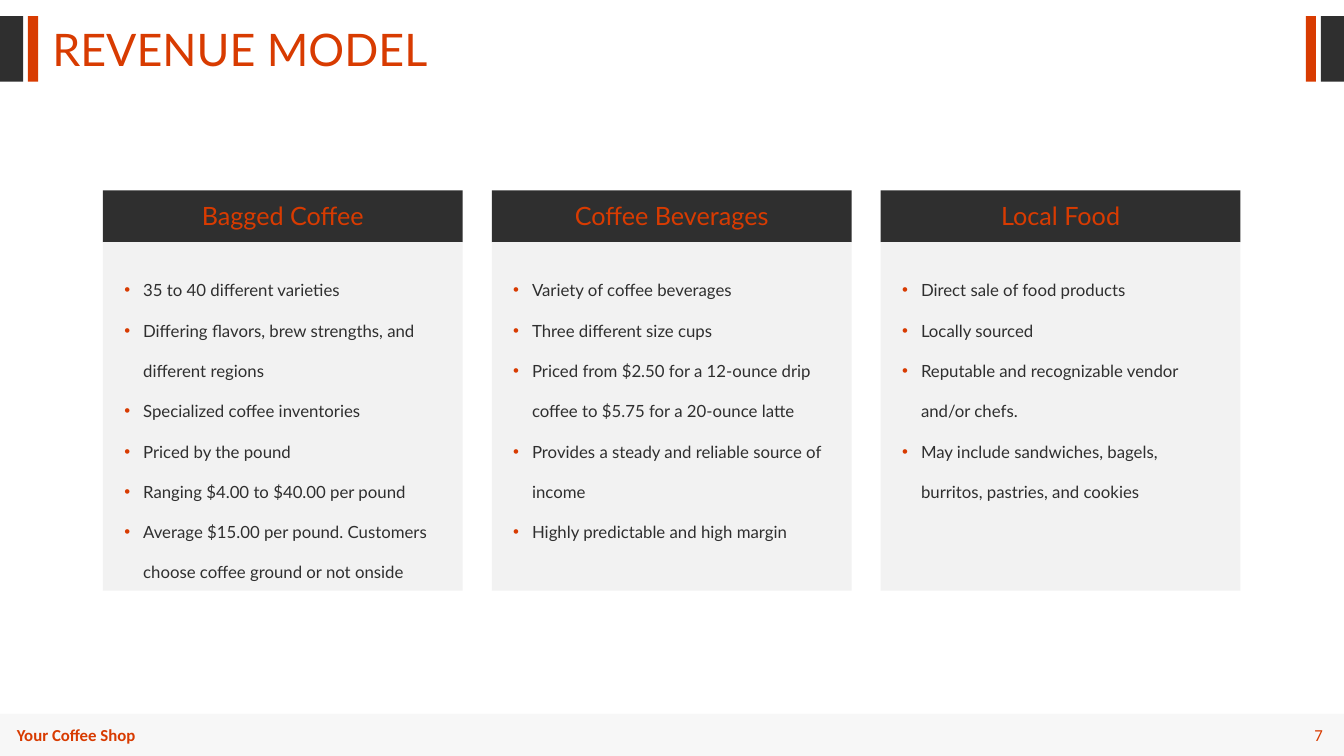
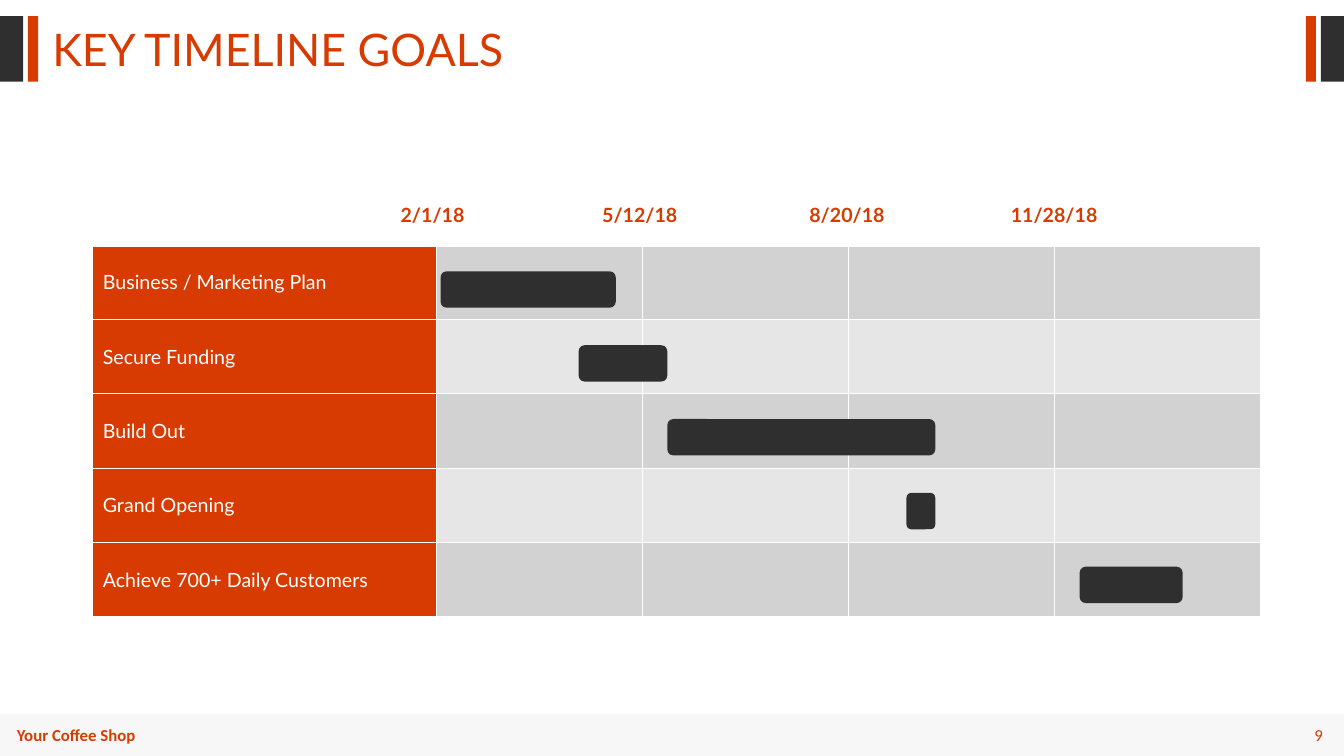
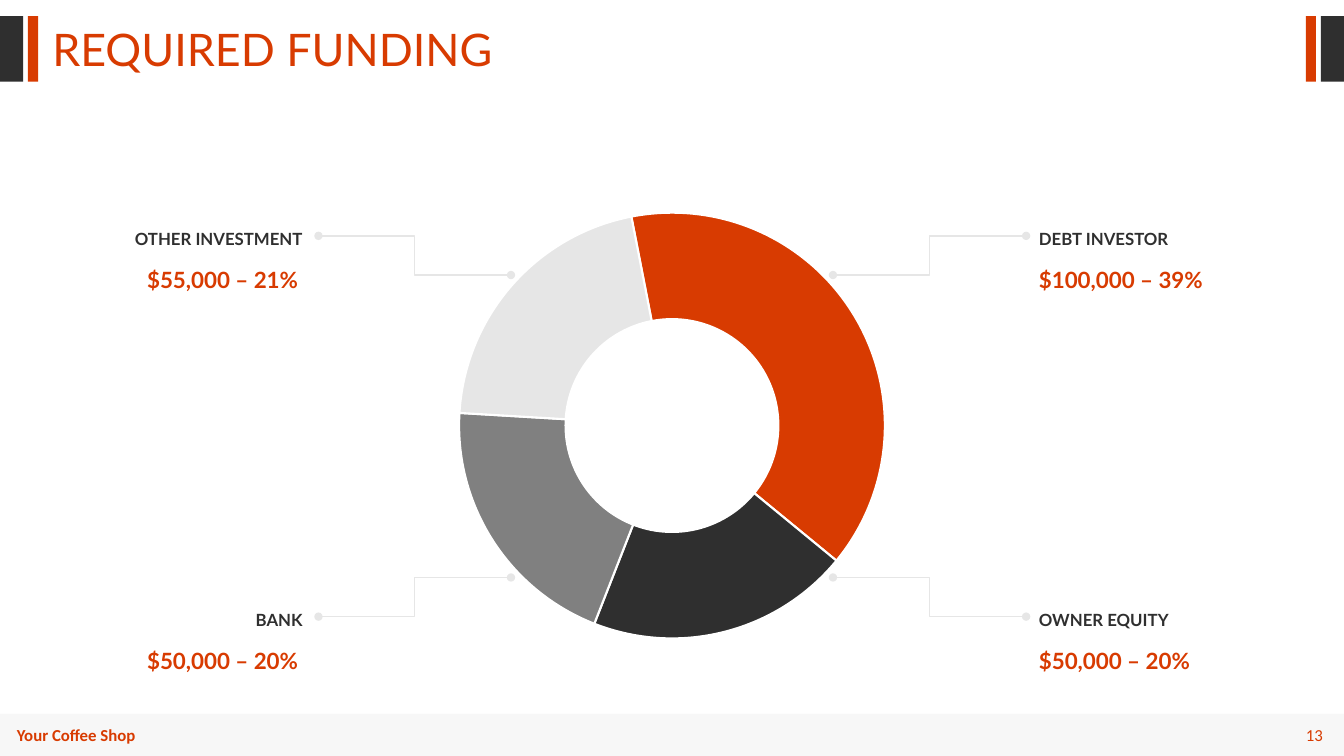
"""Builds three coffee shop pitch slides: revenue model, timeline goals and required funding."""
from lxml import etree
from pptx import Presentation
from pptx.chart.data import CategoryChartData
from pptx.dml.color import RGBColor
from pptx.enum.chart import XL_CHART_TYPE
from pptx.enum.shapes import MSO_CONNECTOR, MSO_SHAPE
from pptx.enum.text import MSO_ANCHOR, PP_ALIGN
from pptx.oxml.ns import qn
from pptx.util import Pt

RECT, ROUNDED = MSO_SHAPE.RECTANGLE, MSO_SHAPE.ROUNDED_RECTANGLE
ELBOW, DOUGHNUT = MSO_CONNECTOR.ELBOW, XL_CHART_TYPE.DOUGHNUT
LEFT, CENTER, RIGHT = PP_ALIGN.LEFT, PP_ALIGN.CENTER, PP_ALIGN.RIGHT
TOP, MIDDLE = MSO_ANCHOR.TOP, MSO_ANCHOR.MIDDLE

COLORS = {
    "accent": "D83B01", "dark": "2F2F2F", "gray": "808080", "light": "E6E6E6",
    "band": "D2D2D2", "panel": "F2F2F2", "white": "FFFFFF", "black": "000000",
}
HEADING_FONT, FOOTER_FONT = "Lato", "Calibri"
WIDTH, HEIGHT = 960, 540
FOOTER = "Your Coffee Shop"

REVENUE = [
    ("Bagged Coffee", [
        "35 to 40 different varieties",
        "Differing flavors, brew strengths, and different regions",
        "Specialized coffee inventories",
        "Priced by the pound",
        "Ranging $4.00 to $40.00 per pound",
        "Average $15.00 per pound. Customers choose coffee ground or not onside",
    ]),
    ("Coffee Beverages", [
        "Variety of coffee beverages",
        "Three different size cups",
        "Priced from $2.50 for a 12-ounce drip coffee to $5.75 for a 20-ounce latte",
        "Provides a steady and reliable source of income",
        "Highly predictable and high margin",
    ]),
    ("Local Food", [
        "Direct sale of food products",
        "Locally sourced",
        "Reputable and recognizable vendor and/or chefs.",
        "May include sandwiches, bagels, burritos, pastries, and cookies",
    ]),
]

DATES = ["2/1/18", "5/12/18", "8/20/18", "11/28/18"]
DAYS_PER_COLUMN = 100
GOALS = [
    ("Business / Marketing Plan", 2, 85),
    ("Secure Funding", 69, 43),
    ("Build Out", 112, 130),
    ("Grand Opening", 228, 14),
    ("Achieve 700+ Daily Customers", 312, 50),
]

FUNDING = [
    ("DEBT INVESTOR", "$100,000 – 39%", 39, "accent", "right", "top"),
    ("OWNER EQUITY", "$50,000 – 20%", 20, "dark", "right", "bottom"),
    ("BANK", "$50,000 – 20%", 20, "gray", "left", "bottom"),
    ("OTHER INVESTMENT", "$55,000 – 21%", 21, "light", "left", "top"),
]
CALLOUT_X = {"left": (365, 227.5), "right": (595, 733)}
CALLOUT_Y = {"top": (196.5, 168.5, 157), "bottom": (412.5, 440.5, 429)}


def rgb(color):
    return RGBColor.from_string(COLORS[color])


def points(*lengths):
    return [Pt(length) for length in lengths]


def add_block(slide, box, color, kind=RECT):
    block = slide.shapes.add_shape(kind, *points(*box))
    block.shadow.inherit = False
    block.fill.solid()
    block.fill.fore_color.rgb = rgb(color)
    block.line.fill.background()
    return block


def add_bullet(paragraph):
    properties = paragraph._p.get_or_add_pPr()
    properties.set("marL", str(Pt(13.5)))
    properties.set("indent", str(-Pt(13.5)))
    bullet_color = etree.SubElement(properties, qn("a:buClr"))
    etree.SubElement(bullet_color, qn("a:srgbClr"), val=COLORS["accent"])
    etree.SubElement(properties, qn("a:buFont"), typeface="Arial")
    etree.SubElement(properties, qn("a:buChar"), char="•")


def add_text(slide, box, lines, size, color="accent", bold=False, align=LEFT,
             spacing=1.0, font=HEADING_FONT, anchor=TOP, bullets=False):
    frame = slide.shapes.add_textbox(*points(*box)).text_frame
    frame.word_wrap = True
    frame.vertical_anchor = anchor
    frame.text = "\n".join(lines)
    for paragraph in frame.paragraphs:
        if bullets:
            add_bullet(paragraph)
        paragraph.alignment = align
        paragraph.line_spacing = spacing
        style = paragraph.runs[0].font
        style.name, style.size, style.bold = font, Pt(size), bold
        style.color.rgb = rgb(color)


def add_base(deck, title, number):
    slide = deck.slides.add_slide(deck.slide_layouts[6])
    for offset, width, color in [(0, 16.5, "dark"), (20, 7.2, "accent")]:
        for left in (offset, WIDTH - offset - width):
            add_block(slide, (left, 11.5, width, 46.8), color)
    strip = add_block(slide, (0, 510, WIDTH, 30), "light")
    tint = strip.fill._xPr.find(".//" + qn("a:srgbClr"))
    etree.SubElement(tint, qn("a:alpha"), val="30000")
    add_text(slide, (889, 514, 63, 22), [str(number)], 12, align=RIGHT,
             font=FOOTER_FONT, anchor=MIDDLE)
    add_text(slide, (5, 514, 132, 22), [FOOTER], 12, bold=True, font=FOOTER_FONT)
    add_text(slide, (30.25, 19.5, 480, 39), [title], 32, spacing=0.8)
    return slide


def add_revenue(deck):
    slide = add_base(deck, "REVENUE MODEL", 7)
    card_width, pitch, inset = 257, 277.8, 8.2
    for index, (heading, details) in enumerate(REVENUE):
        left = 73.5 + index * pitch
        text_left, text_width = left + inset, card_width - 2 * inset
        add_block(slide, (left, 136, card_width, 37), "dark")
        add_block(slide, (left, 173, card_width, 249), "panel")
        add_text(slide, (text_left, 139.5, text_width, 29), [heading], 18, align=CENTER)
        add_text(slide, (text_left, 182, text_width, 240), details, 12, "dark",
                 spacing=2.0, bullets=True)


def add_borders(cell, bottom):
    properties = cell._tc.get_or_add_tcPr()
    for index, (side, width) in enumerate([("L", 1), ("R", 1), ("T", 1), ("B", bottom)]):
        border = etree.Element(qn("a:ln" + side), w=str(Pt(width)))
        fill = etree.SubElement(border, qn("a:solidFill"))
        etree.SubElement(fill, qn("a:srgbClr"), val=COLORS["white"])
        properties.insert(index, border)


def add_timeline(deck):
    slide = add_base(deck, "KEY TIMELINE GOALS", 9)
    left, top, label_width, column_width, row_height = 66.25, 122, 245.5, 147.25, 53.1
    rows, columns = len(GOALS) + 1, len(DATES) + 1
    schedule = slide.shapes.add_table(rows, columns, *points(
        left, top, label_width + len(DATES) * column_width, rows * row_height)).table
    for index, column in enumerate(schedule.columns):
        column.width = Pt(column_width if index else label_width)
    for row_index, row in enumerate(schedule.rows):
        row.height = Pt(row_height)
        for column_index, cell in enumerate(row.cells):
            if row_index == 0:
                color = "white"
            elif column_index == 0:
                color = "accent"
            else:
                color = "band" if row_index % 2 else "light"
            cell.fill.solid()
            cell.fill.fore_color.rgb = rgb(color)
            add_borders(cell, 1 if row_index else 3)
    for index, (goal, start, days) in enumerate(GOALS):
        cell = schedule.cell(index + 1, 0)
        cell.text = goal
        cell.vertical_anchor = MIDDLE
        style = cell.text_frame.paragraphs[0].runs[0].font
        style.name, style.size, style.bold = HEADING_FONT, Pt(14), False
        style.color.rgb = rgb("white")
    for index, date in enumerate(DATES):
        add_text(slide, (264 + index * 148, 141.5, 90, 24), [date], 14, bold=True, align=CENTER)
    day_width = column_width / DAYS_PER_COLUMN
    for index, (goal, start, days) in enumerate(GOALS):
        bar_left = left + label_width + start * day_width
        add_block(slide, (bar_left, 193.8 + index * 52.75, days * day_width, 26), "dark", ROUNDED)


def add_doughnut(slide):
    data = CategoryChartData()
    data.categories = [source for source, *_ in FUNDING]
    data.add_series("Funding share", [share for _, _, share, *_ in FUNDING])
    chart = slide.shapes.add_chart(DOUGHNUT, *points(237, 142, 486, 324), data).chart
    chart.has_legend = False
    chart.has_title = False
    chart.font.name, chart.font.size = FOOTER_FONT, Pt(10)
    chart.font.color.rgb = rgb("black")
    plot = chart.plots[0]
    plot.vary_by_categories = True
    for index, (_, _, _, color, _, _) in enumerate(FUNDING):
        slice_format = plot.series[0].points[index].format
        slice_format.fill.solid()
        slice_format.fill.fore_color.rgb = rgb(color)
        slice_format.line.color.rgb = rgb("white")
        slice_format.line.width = Pt(1.5)
    for tag, value in [("c:firstSliceAng", 349), ("c:holeSize", 64)]:
        chart._chartSpace.find(".//" + qn(tag)).set("val", str(value))


def add_leader(slide, start, end):
    leader = slide.shapes.add_connector(ELBOW, *points(*start, *end))
    leader.line.color.rgb = rgb("light")
    leader.line.width = Pt(1)
    outline = leader.line._get_or_add_ln()
    for tag in ("a:headEnd", "a:tailEnd"):
        etree.SubElement(outline, qn(tag), type="oval")
    etree.SubElement(leader._element.spPr, qn("a:effectLst"))


def add_funding(deck):
    slide = add_base(deck, "REQUIRED FUNDING", 13)
    add_doughnut(slide)
    for source, amount, _, _, side, level in FUNDING:
        inner_x, outer_x = CALLOUT_X[side]
        inner_y, outer_y, text_top = CALLOUT_Y[level]
        add_leader(slide, (inner_x, inner_y), (outer_x, outer_y))
        if side == "left":
            source_left, amount_left, align = 3.25, 0, RIGHT
        else:
            source_left, amount_left, align = 735, 735, LEFT
        add_text(slide, (source_left, text_top, 220, 23), [source], 12, "dark", True, align, 1.2)
        add_text(slide, (amount_left, text_top + 26, 220, 28), [amount], 16, "accent", True, align, 1.2)


def main():
    deck = Presentation()
    deck.slide_width, deck.slide_height = points(WIDTH, HEIGHT)
    add_revenue(deck)
    add_timeline(deck)
    add_funding(deck)
    deck.save("out.pptx")


if __name__ == "__main__":
    main()
